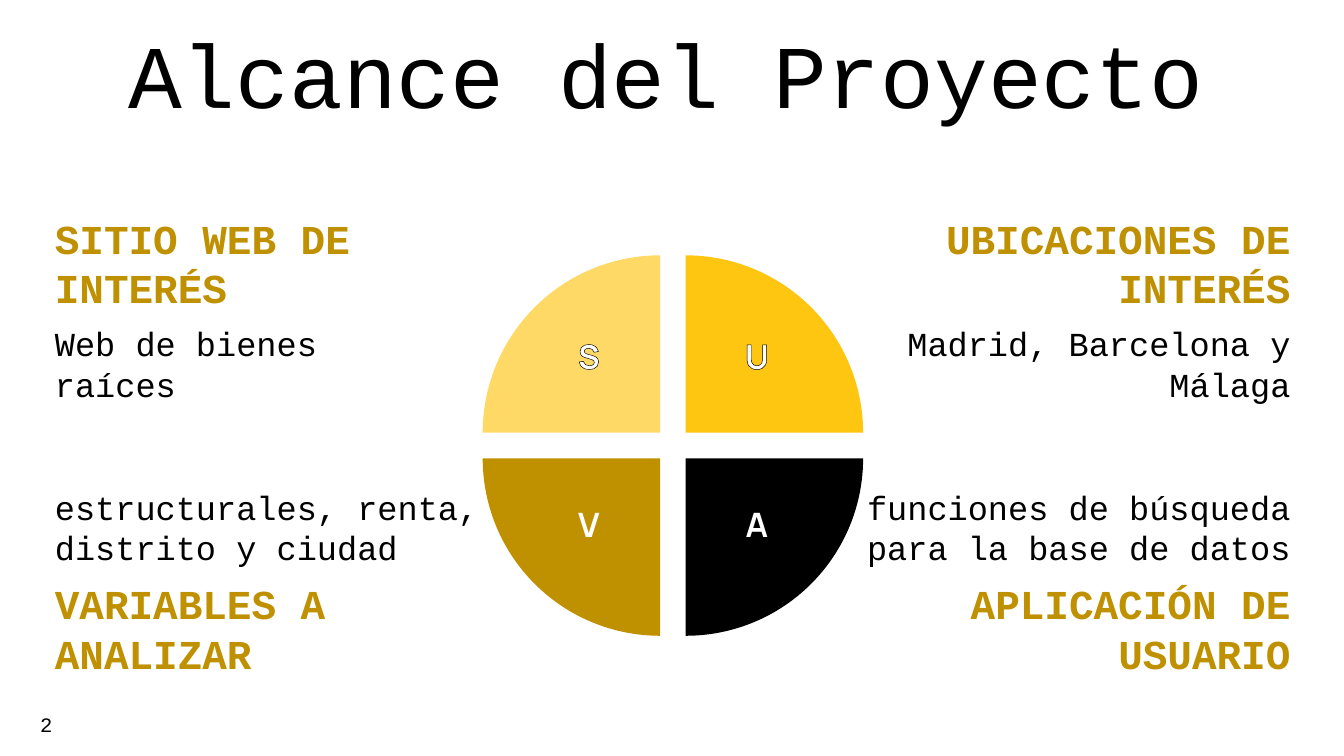
from dataclasses import dataclass

from lxml import etree
from pptx import Presentation
from pptx.dml.color import RGBColor
from pptx.enum.shapes import MSO_SHAPE
from pptx.enum.text import MSO_ANCHOR, PP_ALIGN
from pptx.oxml.ns import qn
from pptx.util import Pt

RECTANGLE, PIE = MSO_SHAPE.RECTANGLE, MSO_SHAPE.PIE
TOP, BOTTOM = MSO_ANCHOR.TOP, MSO_ANCHOR.BOTTOM
LEFT, CENTER, RIGHT = PP_ALIGN.LEFT, PP_ALIGN.CENTER, PP_ALIGN.RIGHT


@dataclass(frozen=True)
class Theme:
    ink: str = "000000"
    paper: str = "FFFFFF"
    gold: str = "BF9000"
    amber: str = "FFC611"
    sand: str = "FFD966"
    mono: str = "Courier New"
    display: str = "Manrope"
    title_size: int = 48
    heading_size: int = 22
    body_size: int = 18
    number_size: int = 11


THEME = Theme()
HEADING = dict(name=THEME.mono, size=Pt(THEME.heading_size), bold=True, color=THEME.gold)
BODY = dict(name=THEME.mono, size=Pt(THEME.body_size), bold=False, color=THEME.ink)
LETTER = dict(name=THEME.display, size=Pt(THEME.body_size), bold=True, color=THEME.paper)
TITLE = dict(name=THEME.mono, size=Pt(THEME.title_size), bold=False, color=THEME.ink)
NUMBER = dict(name=THEME.mono, size=Pt(THEME.number_size), bold=False, color=THEME.ink)


def points(box):
    return [Pt(value) for value in box]


def set_frame(shape, anchor=TOP, insets=(7.2, 7.2, 7.2, 7.2)):
    frame = shape.text_frame
    frame.word_wrap = True
    frame.vertical_anchor = anchor
    for side, value in zip(("left", "top", "right", "bottom"), insets):
        setattr(frame, f"margin_{side}", Pt(value))
    return frame


def write(para, text, style, **layout):
    for key, value in layout.items():
        setattr(para, key, value)
    span = para.add_run()
    span.text = text
    for key, value in style.items():
        if key == "color":
            span.font.color.rgb = RGBColor.from_string(value)
        else:
            setattr(span.font, key, value)
    return span


def outline_text(span, color, width):
    line = etree.Element(qn("a:ln"), w=str(Pt(width)))
    fill = etree.SubElement(line, qn("a:solidFill"))
    etree.SubElement(fill, qn("a:srgbClr"), val=color)
    span.font._element.insert(0, line)


def add_filled(page, kind, box, color):
    shape = page.shapes.add_shape(kind, *points(box))
    shape.shadow.inherit = False
    shape.fill.solid()
    shape.fill.fore_color.rgb = RGBColor.from_string(color)
    shape.line.fill.background()
    return shape


def add_title(page, box, text):
    title = page.shapes.title
    title.left, title.top, title.width, title.height = points(box)
    frame = set_frame(title, BOTTOM)
    write(frame.paragraphs[0], text, TITLE, alignment=CENTER, line_spacing=0.9)


def add_panel(page, box, lines, align, anchor):
    """Text panel whose wide inset keeps the words clear of the wheel."""
    shape = add_filled(page, RECTANGLE, box, THEME.paper)
    insets = (7.2, 7.2, 108, 7.2) if align == LEFT else (108, 7.2, 7.2, 7.2)
    frame = set_frame(shape, anchor, insets)
    first, second = lines
    write(frame.paragraphs[0], *first, alignment=align)
    write(frame.add_paragraph(), *second, alignment=align,
          space_before=Pt(6), space_after=Pt(6))


def add_wheel(page, box, gap, quarters):
    """Four quarter pies, clockwise from top left, pulled apart by a gap."""
    left, top, width, height = box
    size = width - gap
    reach, letter_width, letter_height = 45, 30, 35
    corners = ((0, 0), (1, 0), (1, 1), (0, 1))
    for turn, ((column, row), (_, color, _)) in enumerate(zip(corners, quarters)):
        place = (left + column * gap, top + row * gap, size, size)
        quarter = add_filled(page, PIE, place, color)
        # Pie angles are in units of 100000 / 60000 of a degree
        quarter.adjustments[0], quarter.adjustments[1] = 108, 162
        quarter.rotation = 90 * turn

    # Letters lie above every quarter
    for (column, row), (letter, _, outlined) in zip(corners, quarters):
        middle_x = left + width / 2 + (2 * column - 1) * reach
        middle_y = top + height / 2 + (2 * row - 1) * reach
        place = (middle_x - letter_width / 2, middle_y - letter_height / 2,
                 letter_width, letter_height)
        label = page.shapes.add_textbox(*points(place))
        frame = set_frame(label, insets=(7.2, 3.6, 7.2, 3.6))
        span = write(frame.paragraphs[0], letter, LETTER, alignment=CENTER)
        if outlined:
            outline_text(span, THEME.ink, 0.75)


def add_page_number(page, box, text):
    frame = set_frame(page.shapes.add_textbox(*points(box)))
    write(frame.paragraphs[0], text, NUMBER, alignment=RIGHT)


def add_scope_slide(deck):
    page = deck.slides.add_slide(deck.slide_layouts[5])
    outer_left, outer_right, height = 22.3, 698.4, 124.6
    upper, lower = 107.3, 245.5

    # Headings face outwards: first in the upper panels, last in the lower ones
    panels = (
        (LEFT, upper, 331, "SITIO WEB DE INTERÉS", "Web de bienes raíces"),
        (RIGHT, upper, 368.6, "UBICACIONES DE INTERÉS", "Madrid, Barcelona y Málaga"),
        (LEFT, lower, 345, "VARIABLES A ANALIZAR",
         "estructurales, renta, distrito y ciudad"),
        (RIGHT, lower, 359.3, "APLICACIÓN DE USUARIO",
         "funciones de búsqueda para la base de datos"),
    )
    for align, top, width, heading, body in panels:
        left = outer_left if align == LEFT else outer_right - width
        lines = [(heading, HEADING), (body, BODY)]
        if top == lower:
            lines.reverse()
        anchor = TOP if top == upper else BOTTOM
        add_panel(page, (left, top, width, height), lines, align, anchor)

    quarters = (("S", THEME.sand, True), ("U", THEME.amber, True),
                ("A", THEME.ink, False), ("V", THEME.gold, False))
    add_wheel(page, (258.6, 136.8, 203.8, 203.8), 13.7, quarters)

    add_title(page, (10, 6.5, 693.4, 69), "Alcance del Proyecto")
    add_page_number(page, (14.4, 375, 18, 21.6), "2")


def main():
    deck = Presentation()
    deck.slide_width, deck.slide_height = Pt(720), Pt(405)
    add_scope_slide(deck)
    deck.save("out.pptx")


if __name__ == "__main__":
    main()
